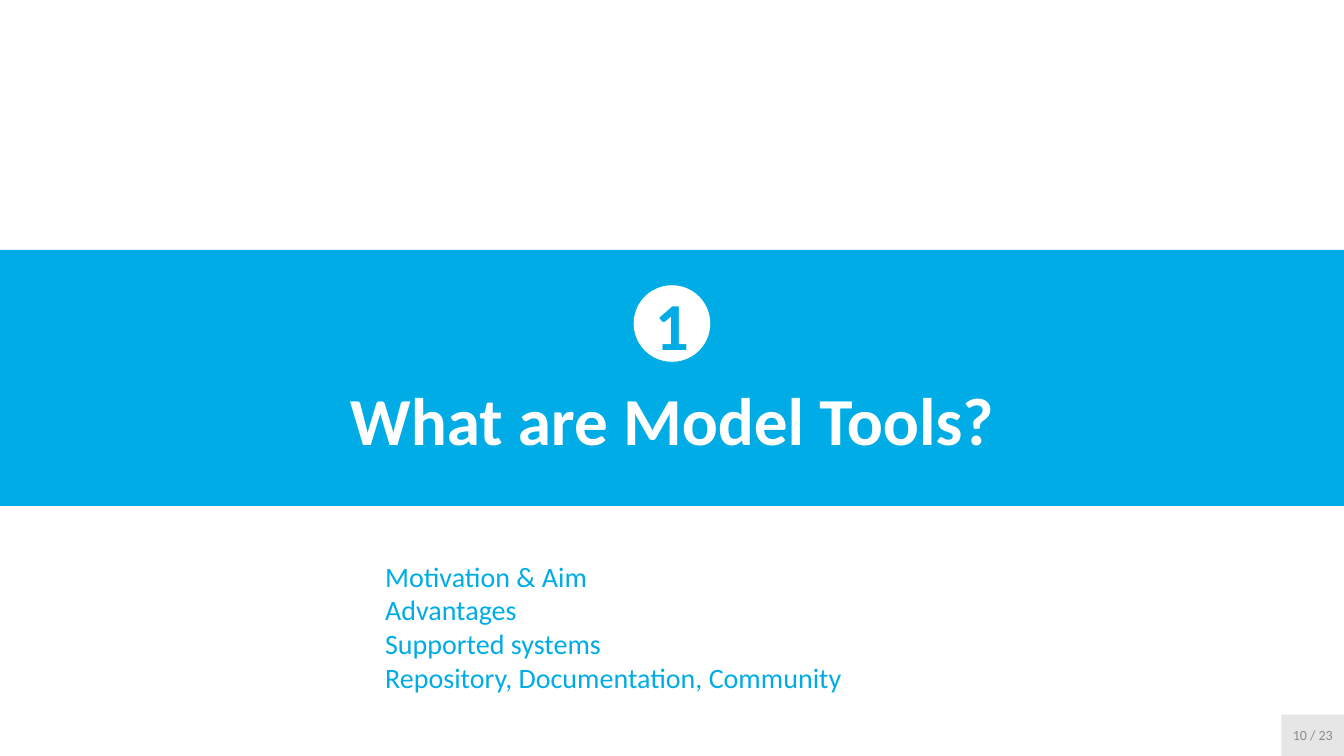
from pptx import Presentation
from pptx.dml.color import RGBColor
from pptx.enum import shapes, text
from pptx.util import Inches, Pt

BLUE, WHITE, PALE, GREY = "00ACE6", "FFFFFF", "E7E6E6", "8C8C8C"
TOPICS = ["Motivation & Aim", "Advantages", "Supported systems",
          "Repository, Documentation, Community"]


def color(value):
    """Return the colour for a hex string."""
    return RGBColor.from_string(value)


def paint(shape, fill):
    """Give a shape a plain fill without a line."""
    shape.fill.solid()
    shape.fill.fore_color.rgb = color(fill)
    shape.line.fill.background()


def set_margins(frame, left=0, top=0, right=0, bottom=0):
    """Set the inner margins of a text frame in inches."""
    frame.margin_left, frame.margin_top = Inches(left), Inches(top)
    frame.margin_right, frame.margin_bottom = Inches(right), Inches(bottom)


def write(frame, lines, size, ink, bold=False, align=text.PP_ALIGN.CENTER):
    """Write one paragraph with one run for each line."""
    for index, line in enumerate(lines):
        paragraph = frame.add_paragraph() if index else frame.paragraphs[0]
        paragraph.alignment = align
        run = paragraph.add_run()
        run.text = line
        run.font.name = "Calibri"
        run.font.size = Pt(size)
        run.font.bold = bold
        run.font.color.rgb = color(ink)


def add_label(slide, kind, box, fill, label, size, ink, bold=False):
    """Add a filled shape with a centred label."""
    shape = slide.shapes.add_shape(kind, *map(Inches, box))
    shape.shadow.inherit = False
    paint(shape, fill)
    frame = shape.text_frame
    frame.word_wrap = False
    frame.vertical_anchor = text.MSO_ANCHOR.MIDDLE
    set_margins(frame)
    write(frame, [label], size, ink, bold)


def add_title_band(slide, box, number, heading):
    """Fill the box with the title and put the numbered disc above its text."""
    left, top, width, height = box
    title = slide.shapes.title
    title.left, title.top, title.width, title.height = map(Inches, box)
    paint(title, BLUE)
    frame = title.text_frame
    frame.auto_size = text.MSO_AUTO_SIZE.NONE
    frame.vertical_anchor = text.MSO_ANCHOR.MIDDLE
    set_margins(frame, 0.1, 0.86, 0.1, 0.05)
    write(frame, [heading], 48, WHITE, True)
    disc = 0.76
    add_label(slide, shapes.MSO_SHAPE.OVAL,
              (left + (width - disc) / 2, top + 0.35, disc, disc),
              WHITE, number, 48, BLUE, True)


def add_topics(slide, box, topics):
    """List the topics of the section in the box."""
    frame = slide.shapes.add_textbox(*map(Inches, box)).text_frame
    frame.word_wrap = True
    set_margins(frame, 0.6, 0.05, 0.1, 0.05)
    write(frame, topics, 20, BLUE, align=text.PP_ALIGN.LEFT)


def add_section_slide(presentation, number, heading, topics, page):
    """Add a section slide with title band, topics and page number."""
    slide = presentation.slides.add_slide(presentation.slide_layouts[5])
    add_title_band(slide, (0, 2.48, 13.33, 2.54), number, heading)
    add_topics(slide, (3.22, 5.5, 5.83, 1.45), topics)
    add_label(slide, shapes.MSO_SHAPE.RECTANGLE, (12.71, 7.09, 0.62, 0.41),
              PALE, page, 10, GREY)


def main():
    """Build and save the presentation."""
    presentation = Presentation()
    presentation.slide_width = Inches(13.33)
    presentation.slide_height = Inches(7.5)
    add_section_slide(presentation, "1", "What are Model Tools?", TOPICS, "10 / 23")
    presentation.save("out.pptx")


if __name__ == "__main__":
    main()
